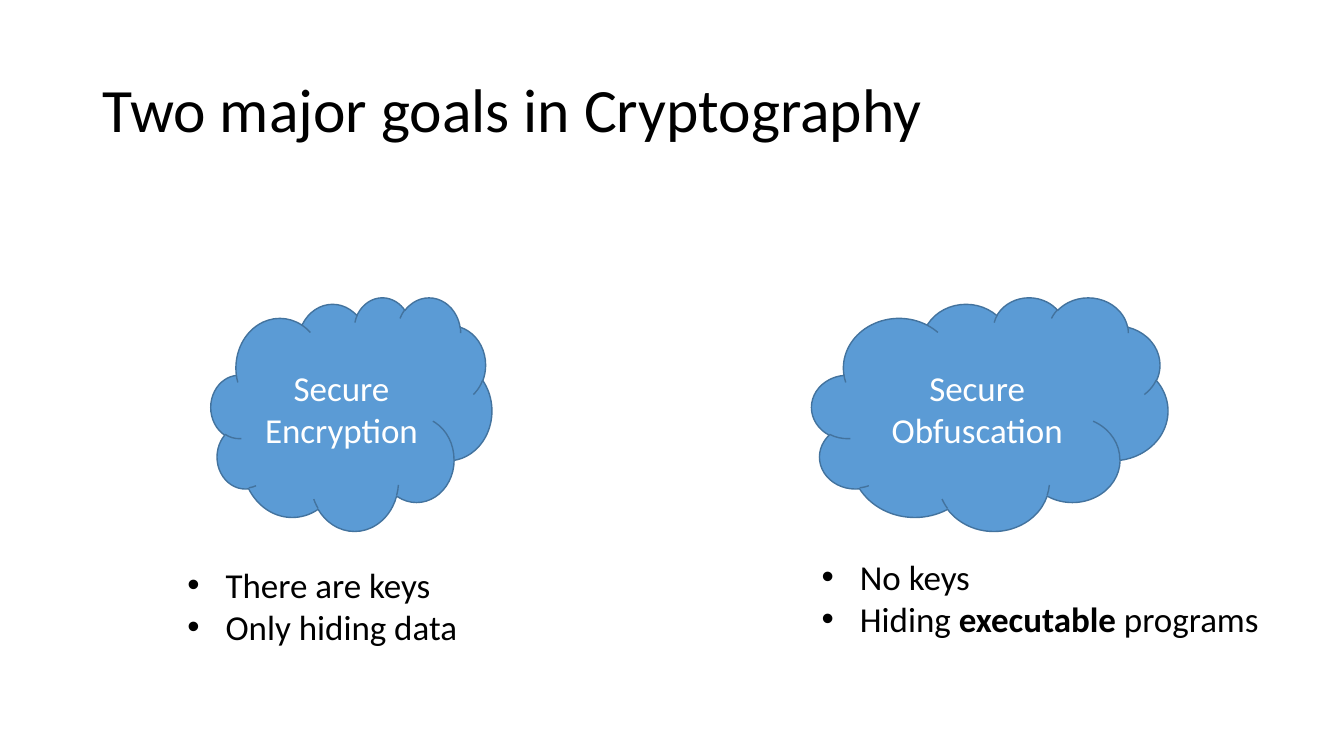
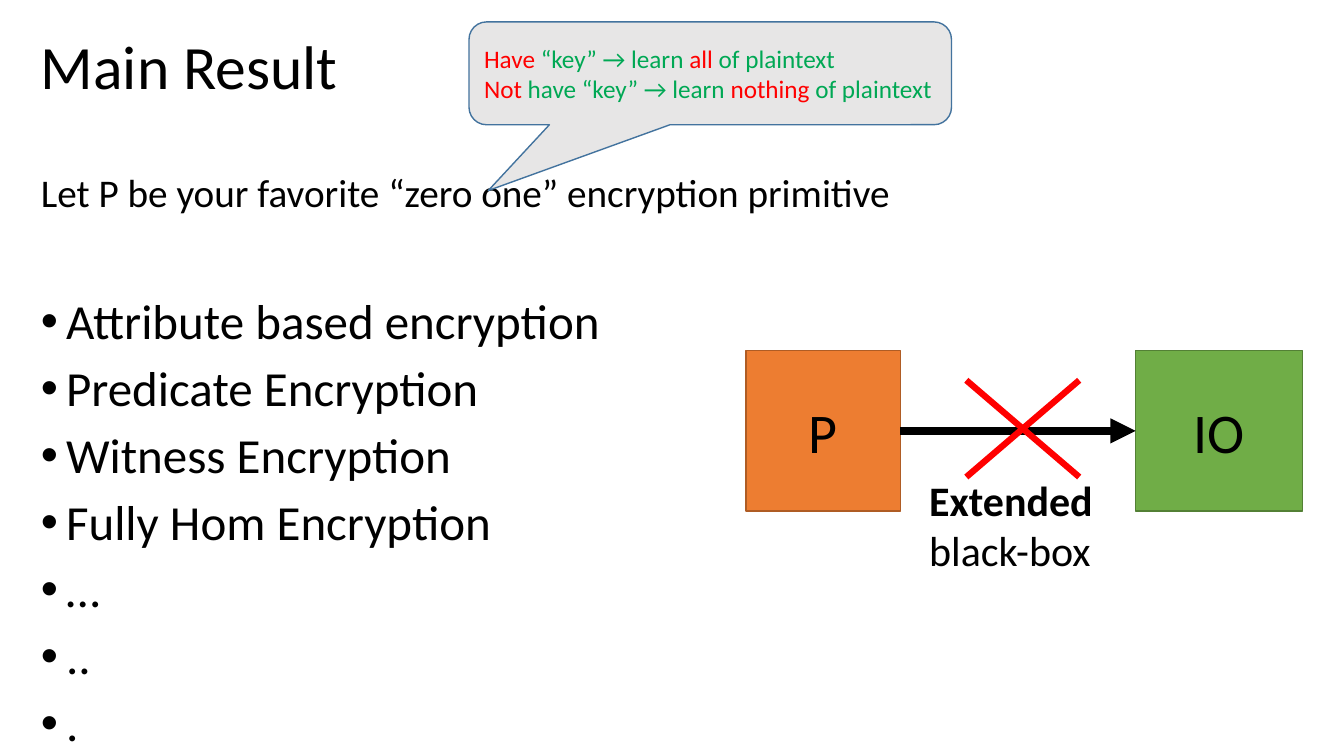
from dataclasses import dataclass

from lxml.etree import SubElement
from pptx import Presentation
from pptx.dml.color import RGBColor
from pptx.enum.shapes import MSO_CONNECTOR, MSO_SHAPE
from pptx.enum.text import MSO_ANCHOR, PP_ALIGN
from pptx.oxml.ns import qn
from pptx.util import Inches, Pt

SLIDE_WIDTH = Inches(13.333)
SLIDE_HEIGHT = Inches(7.5)
FONT = "Calibri"
TITLE_SIZE = 44
TITLE_WIDTH, TITLE_HEIGHT = 86.3, 18.3
LINE_SPACING = 0.9

BLACK = RGBColor(0x00, 0x00, 0x00)
WHITE = RGBColor(0xFF, 0xFF, 0xFF)
BLUE = RGBColor(0x5B, 0x9B, 0xD5)
DARK_BLUE = RGBColor(0x43, 0x73, 0x9E)
ORANGE = RGBColor(0xED, 0x7D, 0x31)
DARK_ORANGE = RGBColor(0xAF, 0x5C, 0x24)
GREEN = RGBColor(0x70, 0xAD, 0x47)
DARK_GREEN = RGBColor(0x53, 0x80, 0x35)
GRAY = RGBColor(0xE7, 0xE6, 0xE6)
RED = RGBColor(0xFF, 0x00, 0x00)
TEXT_GREEN = RGBColor(0x00, 0xA8, 0x54)


@dataclass
class Part:
    """A stretch of a paragraph with its own look."""
    text: str
    color: RGBColor = BLACK
    bold: bool = False


def across(percent):
    return round(SLIDE_WIDTH * percent / 100)


def down(percent):
    return round(SLIDE_HEIGHT * percent / 100)


def place(left, top, width, height):
    """Turn percentages of the slide into a position and a size."""
    return across(left), down(top), across(width), down(height)


def write(frame, paragraphs, size, color=BLACK, align=PP_ALIGN.LEFT):
    """Write paragraphs, each a string or a list of Parts."""
    frame.word_wrap = True
    for index, content in enumerate(paragraphs):
        paragraph = frame.add_paragraph() if index else frame.paragraphs[0]
        paragraph.alignment = align
        parts = [Part(content, color)] if isinstance(content, str) else content
        for part in parts:
            run = paragraph.add_run()
            run.text = part.text
            run.font.name = FONT
            run.font.size = Pt(size)
            run.font.bold = part.bold
            run.font.color.rgb = part.color


def add_text(slide, box, paragraphs, size):
    frame = slide.shapes.add_textbox(*place(*box)).text_frame
    write(frame, paragraphs, size)
    return frame


def add_title(slide, left, top, title):
    frame = add_text(slide, (left, top, TITLE_WIDTH, TITLE_HEIGHT), [title], TITLE_SIZE)
    frame.vertical_anchor = MSO_ANCHOR.MIDDLE
    frame.paragraphs[0].line_spacing = LINE_SPACING


def add_bullets(paragraphs, indent):
    for paragraph in paragraphs:
        properties = paragraph._p.get_or_add_pPr()
        properties.set("marL", str(Inches(indent)))
        properties.set("indent", str(-Inches(indent)))
        SubElement(properties, qn("a:buFont")).set("typeface", "Arial")
        SubElement(properties, qn("a:buChar")).set("char", "•")


def add_figure(slide, preset, box, fill, outline, paragraphs, size,
               color=BLACK, align=PP_ALIGN.CENTER):
    figure = slide.shapes.add_shape(preset, *place(*box))
    figure.shadow.inherit = False
    figure.fill.solid()
    figure.fill.fore_color.rgb = fill
    figure.line.color.rgb = outline
    figure.line.width = Pt(1)
    figure.text_frame.vertical_anchor = MSO_ANCHOR.MIDDLE
    write(figure.text_frame, paragraphs, size, color, align)
    return figure


def add_line(slide, start, end, color, width):
    line = slide.shapes.add_connector(
        MSO_CONNECTOR.STRAIGHT,
        across(start[0]), down(start[1]), across(end[0]), down(end[1]))
    line.line.color.rgb = color
    line.line.width = Pt(width)
    SubElement(line._element.spPr, qn("a:effectLst"))
    return line


def add_arrow(slide, source, target):
    """Join the right side of source to the left side of target."""
    arrow = add_line(slide, (0, 0), (0, 0), BLACK, 6)
    arrow.begin_connect(source, 3)
    arrow.end_connect(target, 1)
    tail = SubElement(arrow.line._get_or_add_ln(), qn("a:tailEnd"))
    tail.set("type", "triangle")


def add_cross(slide, left, top, right, bottom):
    add_line(slide, (right, top), (left, bottom), RED, 4.5)
    add_line(slide, (left, top), (right, bottom), RED, 4.5)


def add_goal(slide, cloud_left, cloud_width, name, list_box, traits):
    """A cloud naming a goal, with its traits listed below."""
    add_figure(slide, MSO_SHAPE.CLOUD, (cloud_left, 39.3, cloud_width, 30.9),
               BLUE, DARK_BLUE, [name], 25, WHITE)
    add_bullets(add_text(slide, list_box, traits, 25).paragraphs, 0.38)


def build_goals(slide):
    add_title(slide, 6.9, 5.8, "Two major goals in Cryptography")
    add_goal(slide, 15.7, 20.9, "Secure Encryption", (13.2, 73.9, 24, 12.5),
             ["There are keys", "Only hiding data"])
    add_goal(slide, 60.4, 26.5, "Secure Obfuscation", (60.4, 72.8, 36, 12.5),
             ["No keys",
              [Part("Hiding "), Part("executable", bold=True), Part(" programs")]])


def add_primitives(slide):
    primitives = ["Attribute based encryption", "Predicate Encryption",
                  "Witness Encryption", "Fully Hom Encryption", "…", "..", "."]
    intro = "Let P be your favorite “zero one” encryption primitive"
    frame = add_text(slide, (2.3, 22.3, 94.9, 77.7), [intro, *primitives], 35)
    for paragraph in frame.paragraphs:
        paragraph.line_spacing = LINE_SPACING
        paragraph.space_before = Pt(10)
    first, *items = frame.paragraphs
    first.runs[0].font.size = Pt(28)
    first.space_after = Pt(48)
    add_bullets(items, 0.25)


def add_callout(slide):
    lines = [
        [Part("Have", RED), Part(" “key” → learn ", TEXT_GREEN),
         Part("all", RED), Part(" of plaintext", TEXT_GREEN)],
        [Part("Not", RED), Part(" have “key” → learn ", TEXT_GREEN),
         Part("nothing", RED), Part(" of plaintext", TEXT_GREEN)],
    ]
    callout = add_figure(slide, MSO_SHAPE.ROUNDED_RECTANGULAR_CALLOUT,
                         (34.9, 2.9, 35.9, 13.6), GRAY, DARK_BLUE, lines, 18,
                         align=PP_ALIGN.LEFT)
    for index, adjustment in enumerate((-0.46, 1.14, 0.17)):
        callout.adjustments[index] = adjustment


def build_result(slide):
    add_title(slide, 2.3, 0, "Main Result")
    add_primitives(slide)
    obfuscation = add_figure(slide, MSO_SHAPE.RECTANGLE, (84.5, 46.4, 12.4, 21.2),
                             GREEN, DARK_GREEN, ["IO"], 40)
    primitive = add_figure(slide, MSO_SHAPE.RECTANGLE, (55.5, 46.4, 11.5, 21.2),
                           ORANGE, DARK_ORANGE, ["P"], 40)
    add_arrow(slide, primitive, obfuscation)
    add_cross(slide, 71.9, 50.3, 80.3, 63.1)
    add_text(slide, (68.4, 62.1, 15.5, 14.8),
             [[Part("Extended", bold=True)], "black-box"], 30)
    add_callout(slide)


def main():
    deck = Presentation()
    deck.slide_width = SLIDE_WIDTH
    deck.slide_height = SLIDE_HEIGHT
    blank = deck.slide_layouts[6]
    for build in (build_goals, build_result):
        build(deck.slides.add_slide(blank))
    deck.save("out.pptx")


if __name__ == "__main__":
    main()
